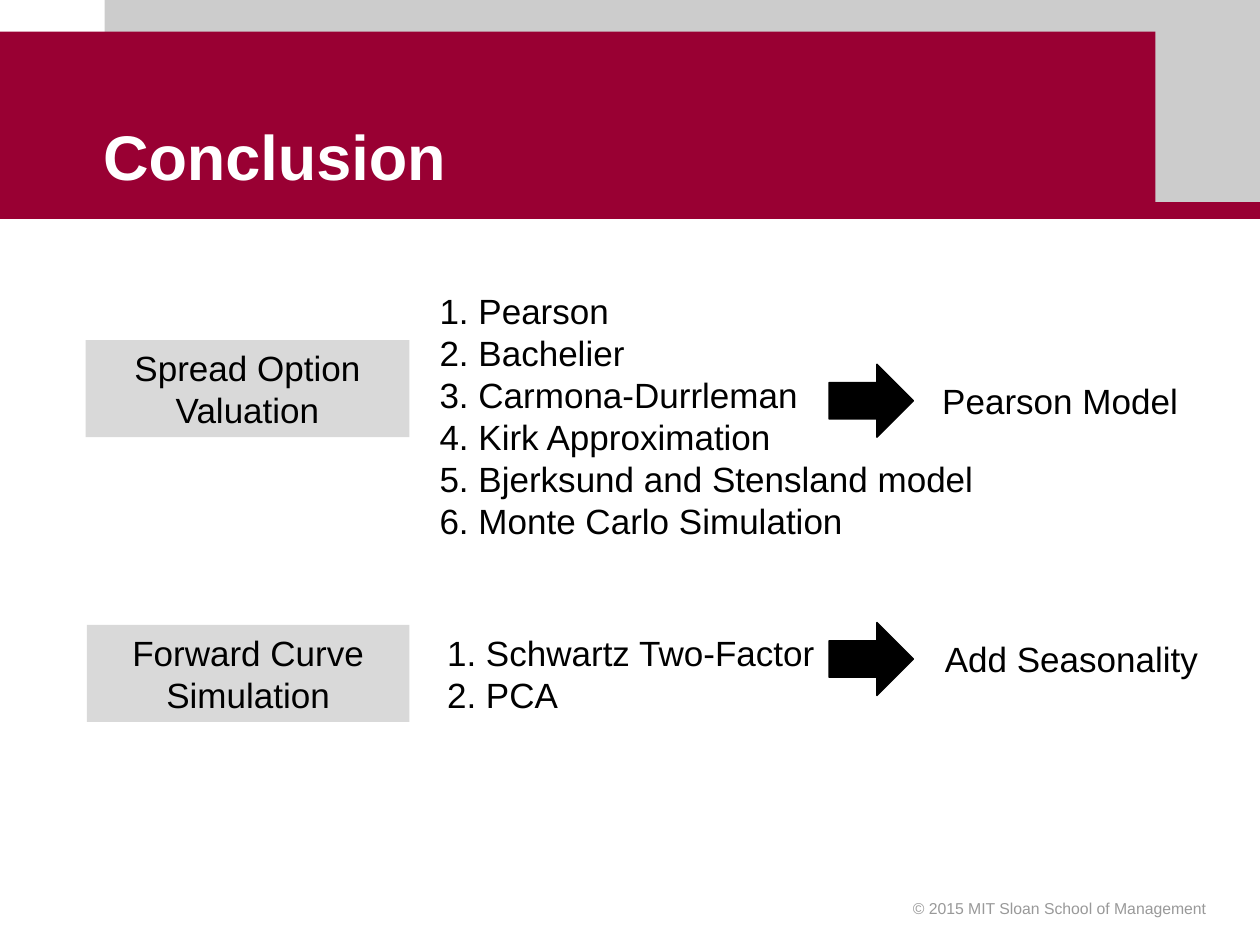
from pptx import Presentation
from pptx.dml.color import RGBColor
from pptx.enum.shapes import MSO_CONNECTOR, MSO_SHAPE
from pptx.enum.text import MSO_ANCHOR, PP_ALIGN
from pptx.oxml.ns import qn
from pptx.util import Inches, Pt
from lxml import etree

CRIMSON, BLACK = "990033", "000000"


def add_block(kind, left, top, width, height, color):
    block = page.shapes.add_shape(
        kind, Inches(left), Inches(top), Inches(width), Inches(height))
    block.shadow.inherit = False
    block.fill.solid()
    block.fill.fore_color.rgb = RGBColor.from_string(color)
    block.line.fill.background()
    return block


def write(box, lines, size=20, color=BLACK, align=PP_ALIGN.LEFT, bold=False):
    """Fill the box with one paragraph per line, all in the same style."""
    frame = box.text_frame
    frame.word_wrap = True
    frame.text = "\n".join(lines)
    for paragraph in frame.paragraphs:
        paragraph.alignment = align
        paragraph.font.name = "Arial"
        paragraph.font.size = Pt(size)
        paragraph.font.bold = bold
        paragraph.font.color.rgb = RGBColor.from_string(color)
    return frame


deck = Presentation()
deck.slide_width, deck.slide_height = Inches(10), Inches(7.5)
page = deck.slides.add_slide(deck.slide_layouts[6])

# Header
add_block(MSO_SHAPE.RECTANGLE, 0.83, 0, 9.17, 1.67, "CCCCCC")
add_block(MSO_SHAPE.RECTANGLE, 0, 0.25, 9.17, 1.42, CRIMSON)
rule = page.shapes.add_connector(
    MSO_CONNECTOR.STRAIGHT, 0, Inches(1.67), Inches(10), Inches(1.67))
rule.line.color.rgb = RGBColor.from_string(CRIMSON)
rule.line.width = Pt(10)
etree.SubElement(rule._element.spPr, qn("a:effectLst"))

title = page.shapes.add_textbox(Inches(0.72), Inches(0.33), Inches(8.44), Inches(1.25))
title_frame = write(title, ["Conclusion"], 36, "FFFFFF", bold=True)
title_frame.vertical_anchor = MSO_ANCHOR.BOTTOM

footer = page.shapes.add_textbox(Inches(6.5), Inches(7.08), Inches(3.17), Inches(0.25))
write(footer, ["© 2015 MIT Sloan School of Management"], 9, "999999", PP_ALIGN.RIGHT)

# Each row: topic and its place, methods and their place, arrow top, result
rows = [
    ("Spread Option Valuation", (0.68, 2.7, 2.57, 0.77),
     ["1. Pearson", "2. Bachelier", "3. Carmona-Durrleman", "4. Kirk Approximation",
      "5. Bjerksund and Stensland model", "6. Monte Carlo Simulation"],
     (3.39, 2.25, 4.86, 2.12), 2.89, "Pearson Model", 7.38),
    ("Forward Curve Simulation", (0.69, 4.96, 2.56, 0.77),
     ["1. Schwartz Two-Factor", "2. PCA"],
     (3.45, 4.96, 3.47, 0.77), 4.94, "Add Seasonality", 7.4),
]
for topic, topic_place, methods, methods_place, arrow_top, result, result_left in rows:
    topic_box = add_block(MSO_SHAPE.RECTANGLE, *topic_place, "D9D9D9")
    write(topic_box, [topic], align=PP_ALIGN.CENTER)

    methods_box = page.shapes.add_textbox(*map(Inches, methods_place))
    write(methods_box, methods)

    arrow = add_block(MSO_SHAPE.RIGHT_ARROW, 6.58, arrow_top, 0.67, 0.58, BLACK)
    arrow.line.color.rgb = RGBColor.from_string(BLACK)
    arrow.line.width = Pt(0.75)

    result_box = page.shapes.add_textbox(
        Inches(result_left), Inches(arrow_top + 0.07), Inches(3.47), Inches(0.44))
    write(result_box, [result])

deck.save("out.pptx")
